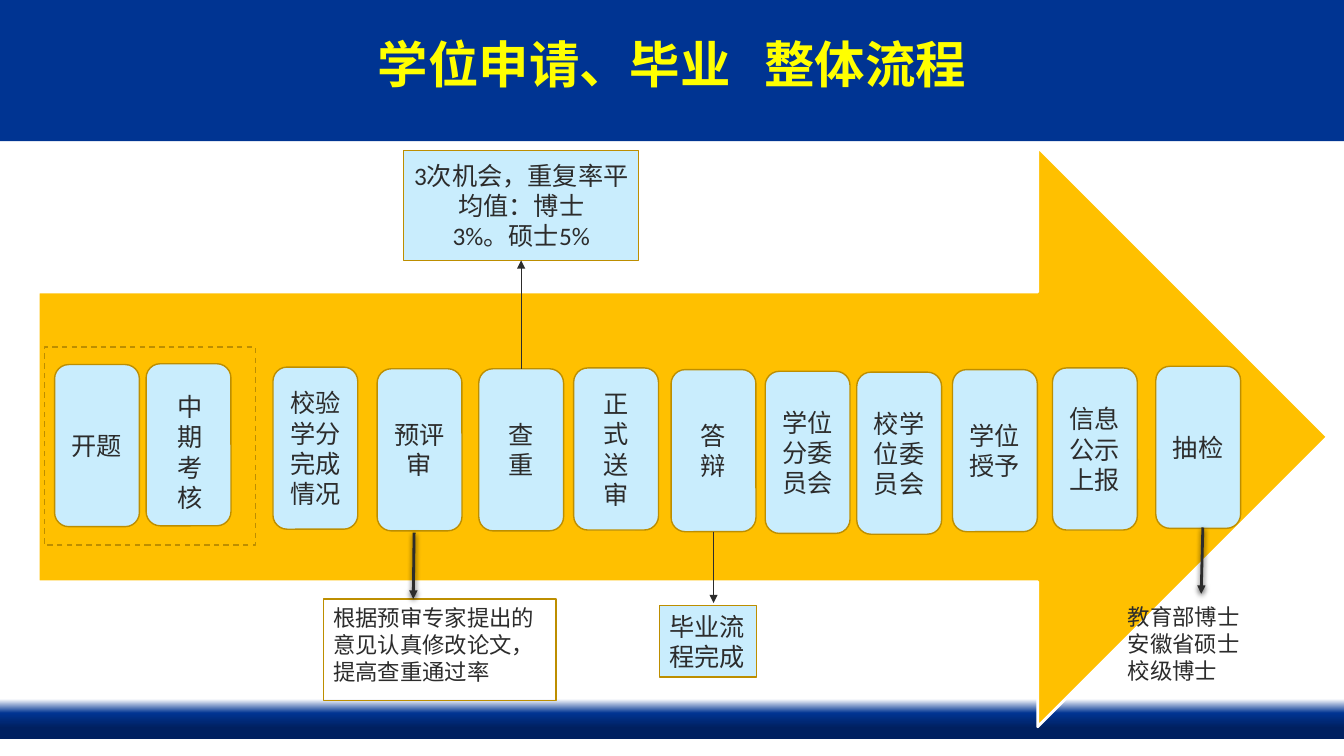
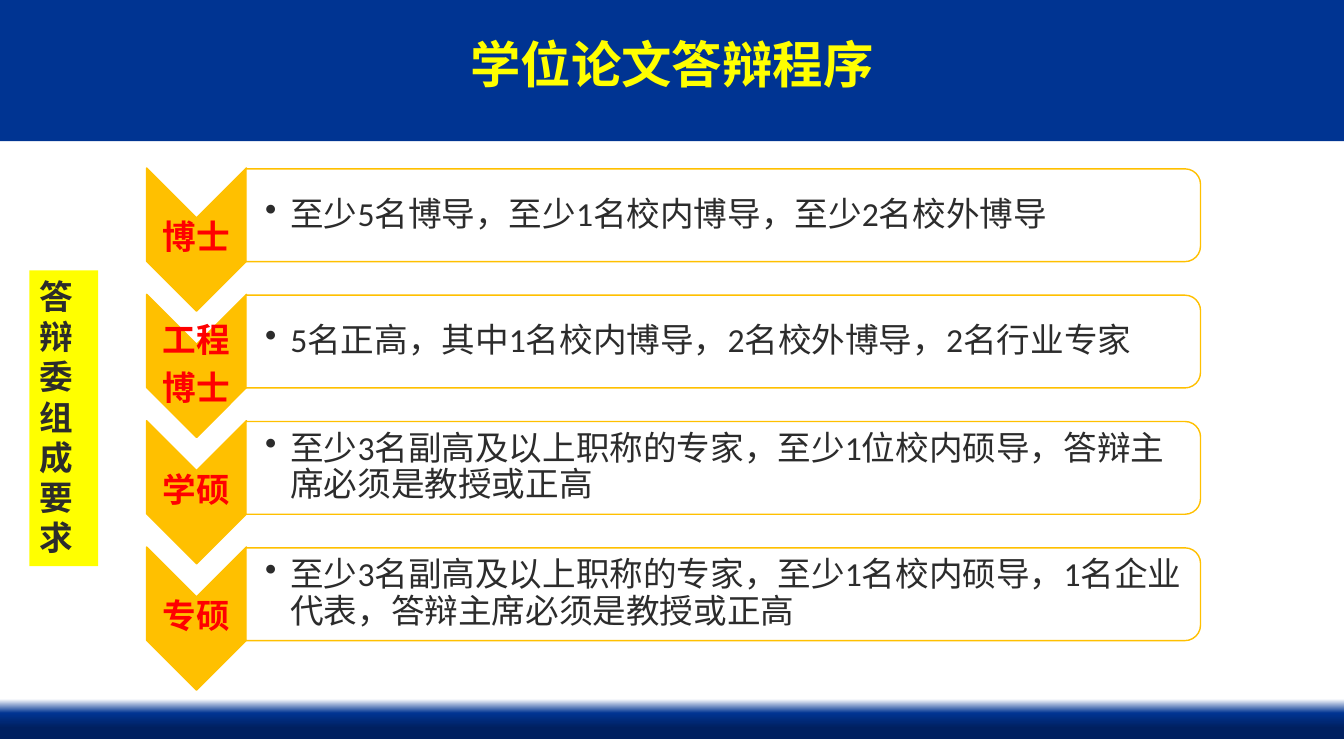
"""Build two slides on the degree application workflow and thesis defence committees."""
from dataclasses import dataclass, replace
from typing import NamedTuple, Optional

from lxml.etree import SubElement
from pptx import Presentation
from pptx.dml.color import RGBColor
from pptx.enum.dml import MSO_LINE
from pptx.enum.shapes import MSO_CONNECTOR, MSO_SHAPE
from pptx.enum.text import MSO_ANCHOR, PP_ALIGN
from pptx.oxml.ns import qn
from pptx.shapes.autoshape import Shape
from pptx.shapes.connector import Connector
from pptx.slide import Slide
from pptx.util import Emu, Inches, Pt

COLUMNS, ROWS = 160, 90
CELL = Inches(1) / 12

NAVY = RGBColor(0x00, 0x34, 0x92)
DEEP_NAVY = RGBColor(0x00, 0x20, 0x60)
YELLOW = RGBColor(0xFF, 0xFF, 0x00)
AMBER = RGBColor(0xFF, 0xC0, 0x00)
BRONZE = RGBColor(0xBD, 0x8E, 0x00)
SKY = RGBColor(0xC9, 0xED, 0xFD)
INK = RGBColor(0x2C, 0x2C, 0x2C)
RED = RGBColor(0xFF, 0x00, 0x00)
WHITE = RGBColor(0xFF, 0xFF, 0xFF)

FOOTER_STOPS = ((0, WHITE), (35, NAVY), (72, DEEP_NAVY), (100, DEEP_NAVY))


class Area(NamedTuple):
    """A rectangle in grid columns and rows."""
    left: float
    top: float
    width: float
    height: float


class Stage(NamedTuple):
    """One step of the workflow, with a paragraph for each forced line."""
    left: float
    top: float
    lines: tuple[str, ...] = ()


class Arrow(NamedTuple):
    """A free arrow from one grid point to another."""
    from_column: float
    from_row: float
    to_column: float
    to_row: float


class Committee(NamedTuple):
    """A degree type and the make-up of its defence committee."""
    degree: tuple[str, ...]
    rule: str


@dataclass(frozen=True)
class TextStyle:
    """The look of all the text in one box."""
    size: float
    color: RGBColor = INK
    bold: bool = False
    latin: str = "Calibri"
    east_asian: str = "Noto Sans CJK SC"
    align: PP_ALIGN = PP_ALIGN.LEFT
    anchor: MSO_ANCHOR = MSO_ANCHOR.TOP
    line_spacing: Optional[float] = None
    space_after: float = 0
    bullet: bool = False
    insets: tuple[float, float, float, float] = (0.1, 0.05, 0.1, 0.05)


TITLE = TextStyle(36, YELLOW, True, "Noto Sans CJK SC", align=PP_ALIGN.CENTER,
                  anchor=MSO_ANCHOR.MIDDLE, line_spacing=0.85)
STAGE_TEXT = TextStyle(18, latin="Noto Sans CJK JP", east_asian="Noto Sans CJK JP",
                       align=PP_ALIGN.CENTER, anchor=MSO_ANCHOR.MIDDLE)
VERTICAL_TEXT = replace(STAGE_TEXT, align=PP_ALIGN.LEFT, anchor=MSO_ANCHOR.TOP)
RESULT_TEXT = TextStyle(18, anchor=MSO_ANCHOR.MIDDLE)
CALLOUT_TEXT = replace(RESULT_TEXT, align=PP_ALIGN.CENTER)
NOTE_TEXT = TextStyle(16)
SIDE_TEXT = TextStyle(24, bold=True)
DEGREE_TEXT = TextStyle(24, RED, True, align=PP_ALIGN.CENTER, anchor=MSO_ANCHOR.MIDDLE,
                        line_spacing=0.9, space_after=8.4, insets=(0.02,) * 4)
RULE_TEXT = TextStyle(24, anchor=MSO_ANCHOR.MIDDLE, line_spacing=0.9, space_after=3.6,
                      bullet=True, insets=(0.19, 0.02, 0.02, 0.02))

STAGE_WIDTH, STAGE_HEIGHT = 10.1, 19.3
MIDTERM, SIMILARITY, DEFENCE = 1, 4, 6
STAGES = (
    Stage(6.5, 43.4, ("开题",)),
    Stage(17.4, 43.3),
    Stage(32.5, 43.7, ("校验学分完成情况",)),
    Stage(44.9, 43.9, ("预评审",)),
    Stage(57, 43.9, ("查", "重")),
    Stage(68.3, 43.8, ("正", "式", "送", "审")),
    Stage(79.9, 44, ("答", "辩")),
    Stage(91.1, 44.2, ("学位分委员会",)),
    Stage(102, 44.3, ("校学位委员会",)),
    Stage(113.4, 44, ("学位授予",)),
    Stage(125.3, 43.8, ("信息公示上报",)),
    Stage(137.6, 43.6, ("抽检",)),
)
SHADOWED_ARROWS = (Arrow(49.3, 63.4, 49.2, 71.3), Arrow(143.2, 62.8, 143, 70.7))

COMMITTEE_TOP, COMMITTEE_PITCH = 20, 15.04
COMMITTEES = (
    Committee(("博士",), "至少5名博导，至少1名校内博导，至少2名校外博导"),
    Committee(("工程", "博士"), "5名正高，其中1名校内博导，2名校外博导，2名行业专家"),
    Committee(("学硕",), "至少3名副高及以上职称的专家，至少1位校内硕导，答辩主席必须是教授或正高"),
    Committee(("专硕",),
              "至少3名副高及以上职称的专家，至少1名校内硕导，1名企业代表，答辩主席必须是教授或正高"),
)


def grid(cells: float) -> Emu:
    """Turn a count of columns or rows into a length."""
    return Emu(round(cells * CELL))


def write(shape: Shape, paragraphs: tuple[tuple[str, ...], ...], style: TextStyle) -> None:
    """Write paragraphs, each a tuple of runs, into a shape."""
    frame = shape.text_frame
    frame.word_wrap = True
    frame.vertical_anchor = style.anchor
    (frame.margin_left, frame.margin_top,
     frame.margin_right, frame.margin_bottom) = map(Inches, style.insets)
    for index, runs in enumerate(paragraphs):
        paragraph = frame.add_paragraph() if index else frame.paragraphs[0]
        paragraph.alignment = style.align
        if style.line_spacing:
            paragraph.line_spacing = style.line_spacing
        paragraph.space_after = Pt(style.space_after)
        if style.bullet:
            properties = paragraph._p.get_or_add_pPr()
            properties.set("marL", str(Inches(0.25)))
            properties.set("indent", str(-Inches(0.25)))
            SubElement(properties, qn("a:buChar"), char="•")
        for text in runs:
            run = paragraph.add_run()
            run.text = text
            run.font.size = Pt(style.size)
            run.font.bold = style.bold
            run.font.color.rgb = style.color
            run.font.name = style.latin
            properties = run._r.get_or_add_rPr()
            SubElement(properties, qn("a:ea"), typeface=style.east_asian)
            if text.isspace():
                properties.set("spc", "1600")


def write_lines(shape: Shape, lines: tuple[str, ...], style: TextStyle) -> None:
    """Write one single-run paragraph per line."""
    write(shape, tuple((line,) for line in lines), style)


def add_text(slide: Slide, area: Area, lines: tuple[str, ...], style: TextStyle) -> None:
    """Add a text box over an area."""
    write_lines(slide.shapes.add_textbox(*map(grid, area)), lines, style)


def add_block(slide: Slide, kind: MSO_SHAPE, area: Area, fill: Optional[RGBColor] = None,
              outline: Optional[RGBColor] = None, weight: float = 1,
              turned: bool = False) -> Shape:
    """Add a preset shape that covers an area, turned a quarter if asked."""
    if turned:
        left, top, width, height = area
        shift = (width - height) / 2
        area = Area(left + shift, top - shift, height, width)
    block = slide.shapes.add_shape(kind, *map(grid, area))
    block.shadow.inherit = False
    if turned:
        block.rotation = 90
    if fill is None:
        block.fill.background()
    else:
        block.fill.solid()
        block.fill.fore_color.rgb = fill
    if outline is None:
        block.line.fill.background()
    else:
        block.line.color.rgb = outline
        block.line.width = Pt(weight)
    return block


def add_arrow(slide: Slide, arrow: Arrow, weight: float = 0.75,
              shadowed: bool = False) -> Connector:
    """Add a straight arrow, with a soft shadow if asked."""
    connector = slide.shapes.add_connector(MSO_CONNECTOR.STRAIGHT, *map(grid, arrow))
    connector.line.color.rgb = INK
    connector.line.width = Pt(weight)
    properties = connector._element.spPr
    SubElement(properties.find(qn("a:ln")), qn("a:tailEnd"), type="triangle")
    effects = SubElement(properties, qn("a:effectLst"))
    if shadowed:
        shadow = SubElement(effects, qn("a:outerShdw"), blurRad=str(Pt(4)),
                            dist=str(Pt(1.2)), dir="5400000", rotWithShape="0")
        black = SubElement(shadow, qn("a:srgbClr"), val="000000")
        SubElement(black, qn("a:alpha"), val="68000")
    return connector


def add_framed_slide(deck: Presentation, title: tuple[str, ...]) -> Slide:
    """Add a slide with the title band, the shaded footer and the title."""
    slide = deck.slides.add_slide(deck.slide_layouts[6])
    add_block(slide, MSO_SHAPE.RECTANGLE, Area(0, 0, COLUMNS, 16.8), NAVY)
    footer = add_block(slide, MSO_SHAPE.RECTANGLE, Area(0, 83.2, COLUMNS, 4.8), NAVY)
    footer.fill.gradient()
    footer.fill.gradient_angle = 270
    stops = footer._element.spPr.find(qn("a:gradFill")).find(qn("a:gsLst"))
    stops.clear()
    for percent, color in FOOTER_STOPS:
        stop = SubElement(stops, qn("a:gs"), pos=str(percent * 1000))
        SubElement(stop, qn("a:srgbClr"), val=str(color))
    heading = slide.shapes.add_textbox(*map(grid, Area(8, 3.6, 144, 9)))
    write(heading, (title,), TITLE)
    return slide


def build_workflow(deck: Presentation) -> None:
    """Build the overall workflow slide."""
    slide = add_framed_slide(deck, ("学位申请、毕业", " ", "整体流程"))
    add_block(slide, MSO_SHAPE.RIGHT_ARROW, Area(4.56, 17.52, 153.48, 69), AMBER, WHITE, 2)
    cards = []
    for stage in STAGES:
        card = add_block(slide, MSO_SHAPE.ROUNDED_RECTANGLE,
                         Area(stage.left, stage.top, STAGE_WIDTH, STAGE_HEIGHT), SKY, BRONZE)
        write_lines(card, stage.lines, STAGE_TEXT)
        cards.append(card)
    midterm = STAGES[MIDTERM]
    add_text(slide, Area(midterm.left + 2.6, midterm.top + 2.7, 4.7, 15.7),
             ("中期考核",), VERTICAL_TEXT)
    preparation = add_block(slide, MSO_SHAPE.RECTANGLE, Area(5.3, 41.3, 25.1, 23.6),
                            outline=BRONZE)
    preparation.line.dash_style = MSO_LINE.DASH

    limits = add_block(slide, MSO_SHAPE.RECTANGLE, Area(48.05, 17.9, 28, 13.1), SKY, BRONZE)
    write_lines(limits, ("3次机会，重复率平均值：博士", "3%。硕士5%"), CALLOUT_TEXT)
    to_limits = add_arrow(slide, Arrow(62.05, 43.9, 62.05, 31))
    to_limits.begin_connect(cards[SIMILARITY], 0)
    to_limits.end_connect(limits, 2)

    graduation = add_block(slide, MSO_SHAPE.RECTANGLE, Area(78.5, 72.1, 11.6, 8.5), SKY, BRONZE)
    write_lines(graduation, ("毕业流程完成",), RESULT_TEXT)
    to_graduation = add_arrow(slide, Arrow(84.95, 63.3, 84.95, 71.8))
    to_graduation.begin_connect(cards[DEFENCE], 2)

    advice = add_block(slide, MSO_SHAPE.RECTANGLE, Area(38.5, 71.3, 27.7, 12.1), outline=BRONZE)
    write_lines(advice, ("根据预审专家提出的意见认真修改论文，提高查重通过率",), NOTE_TEXT)
    for arrow in SHADOWED_ARROWS:
        add_arrow(slide, arrow, 2, shadowed=True)
    add_text(slide, Area(133.1, 71.2, 17.8, 10.9),
             ("教育部博士", "安徽省硕士", "校级博士"), NOTE_TEXT)


def build_committees(deck: Presentation) -> None:
    """Build the defence committee slide."""
    slide = add_framed_slide(deck, ("学位论文答辩程序",))
    for index, committee in enumerate(COMMITTEES):
        top = COMMITTEE_TOP + index * COMMITTEE_PITCH
        add_block(slide, MSO_SHAPE.CHEVRON, Area(17.46, top, 11.88, 17.04),
                  AMBER, AMBER, turned=True)
        add_text(slide, Area(17.4, top + 5.92, 11.9, 5.04), committee.degree, DEGREE_TEXT)
        panel = add_block(slide, MSO_SHAPE.ROUND_2_SAME_RECTANGLE,
                          Area(29.28, top + 0.1, 113.64, 11.04), WHITE, AMBER, turned=True)
        panel_color = panel._element.spPr.find(qn("a:solidFill"))[0]
        SubElement(panel_color, qn("a:alpha"), val="90000")
        add_text(slide, Area(29.28, top + 0.64, 113.04, 9.96), (committee.rule,), RULE_TEXT)
    side = add_block(slide, MSO_SHAPE.RECTANGLE, Area(3.5, 32.2, 8.2, 35.2), YELLOW)
    write_lines(side, ("答辩委组成要求",), SIDE_TEXT)


def main() -> None:
    """Build and save the deck."""
    deck = Presentation()
    deck.slide_width, deck.slide_height = grid(COLUMNS), grid(ROWS)
    build_workflow(deck)
    build_committees(deck)
    deck.save("out.pptx")


if __name__ == "__main__":
    main()
